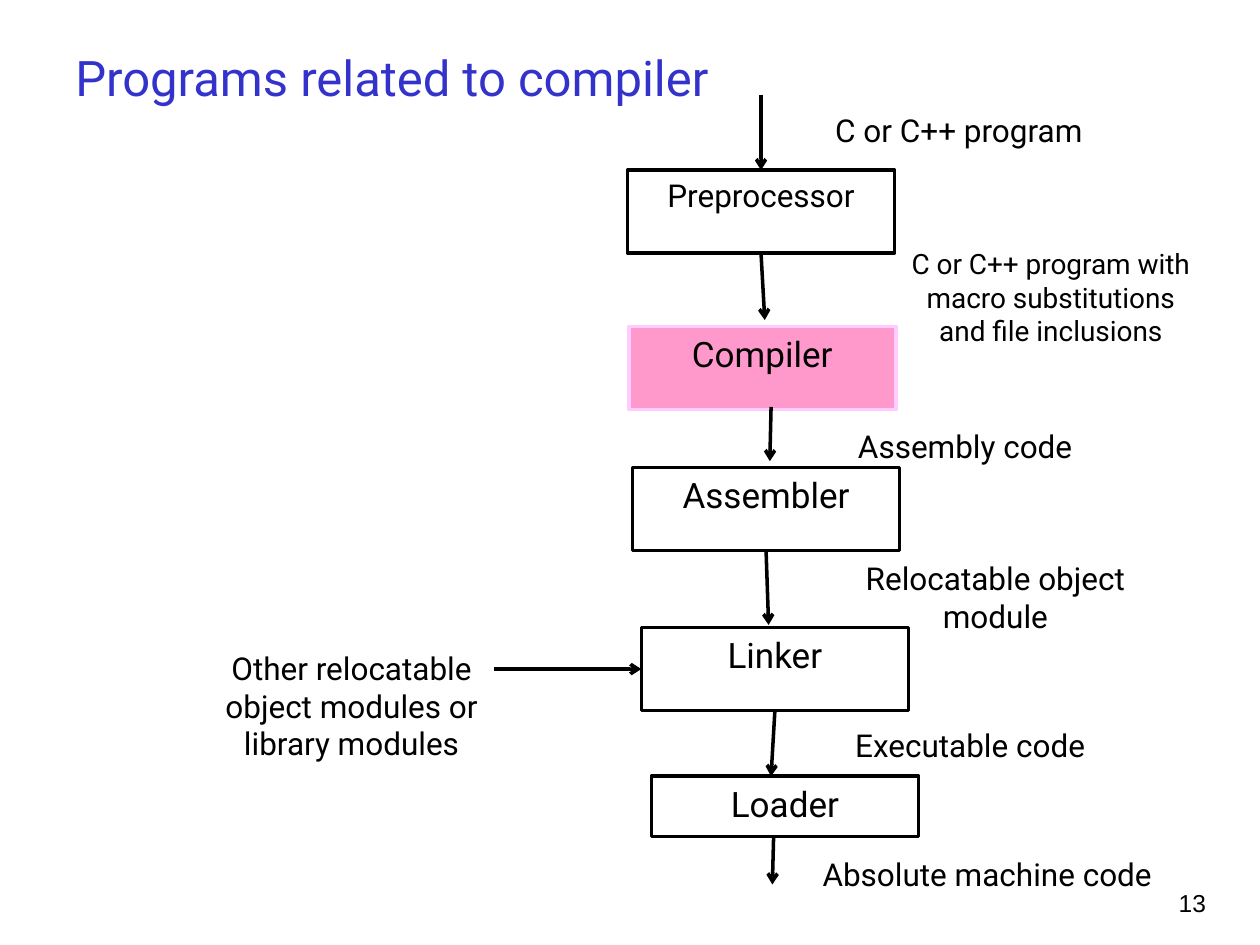
from lxml.etree import SubElement
from pptx import Presentation
from pptx.dml.color import RGBColor
from pptx.enum.shapes import MSO_CONNECTOR as CONNECTOR, MSO_SHAPE as SHAPE
from pptx.enum.text import MSO_ANCHOR as ANCHOR, PP_ALIGN as ALIGN
from pptx.oxml.ns import qn
from pptx.util import Inches, Pt


def color(hex_code):
    return RGBColor.from_string(hex_code)


def write(shape, text, size, align=ALIGN.CENTER, anchor=ANCHOR.TOP, wrap=True,
          font_name="Roboto", ink="000000"):
    frame = shape.text_frame
    for name, value in {"word_wrap": wrap, "vertical_anchor": anchor}.items():
        setattr(frame, name, value)
    paragraph = frame.paragraphs[0]
    paragraph.text = text
    paragraph.alignment = align
    for name, value in {"name": font_name, "size": Pt(size)}.items():
        setattr(paragraph.font, name, value)
    paragraph.font.color.rgb = color(ink)


prs = Presentation()
prs.slide_width, prs.slide_height = Inches(10), Inches(7.5)
slide = prs.slides.add_slide(prs.slide_layouts[6])
shapes = slide.shapes

title = shapes.add_textbox(Inches(0.5), Inches(0.3), Inches(9), Inches(0.62))
write(title, "Programs related to compiler", 28, ALIGN.LEFT, ANCHOR.MIDDLE, ink="3333CC")

page_number = shapes.add_textbox(Inches(8.93), Inches(7), Inches(0.74), Inches(0.5))
write(page_number, "13", 14, ALIGN.RIGHT, font_name="Arial")

# Toolchain stages: name, left, top, height, text size, fill, outline
stages = [
    ("Preprocessor", 4.98, 1.35, 0.66, 18, "FFFFFF", "000000"),
    ("Compiler", 4.99, 2.59, 0.66, 20, "FF99CC", "FFCCFF"),
    ("Assembler", 5.02, 3.71, 0.66, 20, "FFFFFF", "000000"),
    ("Linker", 5.09, 4.98, 0.66, 20, "FFFFFF", "000000"),
    ("Loader", 5.17, 6.16, 0.48, 20, "FFFFFF", "000000"),
]
programs = {}
for name, left, top, height, size, fill, outline in stages:
    program = shapes.add_shape(SHAPE.RECTANGLE, Inches(left), Inches(top),
                               Inches(2.12), Inches(height))
    program.shadow.inherit = False
    program.fill.solid()
    program.fill.fore_color.rgb = color(fill)
    program.line.color.rgb = color(outline)
    program.line.width = Pt(2)
    write(program, name, size, wrap=False)
    programs[name] = program

# What passes between the stages: text, left, top, width, height, text size
products = [
    ("C or C++ program", 6.32, 0.83, 2.58, 0.4, 18),
    ("C or C++ program with macro substitutions and file inclusions", 7.05, 1.91, 2.58, 0.9, 16),
    ("Assembly code", 6.37, 3.34, 2.58, 0.4, 18),
    ("Relocatable object module", 6.61, 4.39, 2.58, 0.7, 18),
    ("Executable code", 6.41, 5.71, 2.58, 0.4, 18),
    ("Other relocatable object modules or library modules", 1.5, 5.1, 2.58, 1, 18),
    ("Absolute machine code", 6.41, 6.74, 2.85, 0.7, 18),
]
for text, left, top, width, height, size in products:
    label = shapes.add_textbox(Inches(left), Inches(top), Inches(width), Inches(height))
    write(label, text, size)

# Arrows: start point, end point, then the (stage, side) joined at each end
TOP, LEFT, BOTTOM = 0, 1, 2
flows = [
    ((6.04, 0.75), (6.04, 1.32), None, ("Preprocessor", TOP)),
    ((6.06, 2), (6.07, 2.54), ("Preprocessor", BOTTOM), None),
    ((6.12, 3.23), (6.11, 3.66), None, None),
    ((6.1, 4.38), (6.1, 4.96), ("Assembler", BOTTOM), None),
    ((6.13, 5.63), (6.12, 6.16), ("Linker", BOTTOM), None),
    ((3.92, 5.31), (5.08, 5.33), None, ("Linker", LEFT)),
    ((6.14, 6.64), (6.13, 7.02), None, None),
]
for start, end, source, target in flows:
    arrow = shapes.add_connector(CONNECTOR.STRAIGHT, *map(Inches, start + end))
    if source:
        arrow.begin_connect(programs[source[0]], source[1])
    if target:
        arrow.end_connect(programs[target[0]], target[1])
    arrow.line.color.rgb = color("000000")
    arrow.line.width = Pt(2)
    SubElement(arrow.line._get_or_add_ln(), qn("a:tailEnd"), type="arrow")
    SubElement(arrow._element.spPr, qn("a:effectLst"))

prs.save("out.pptx")
